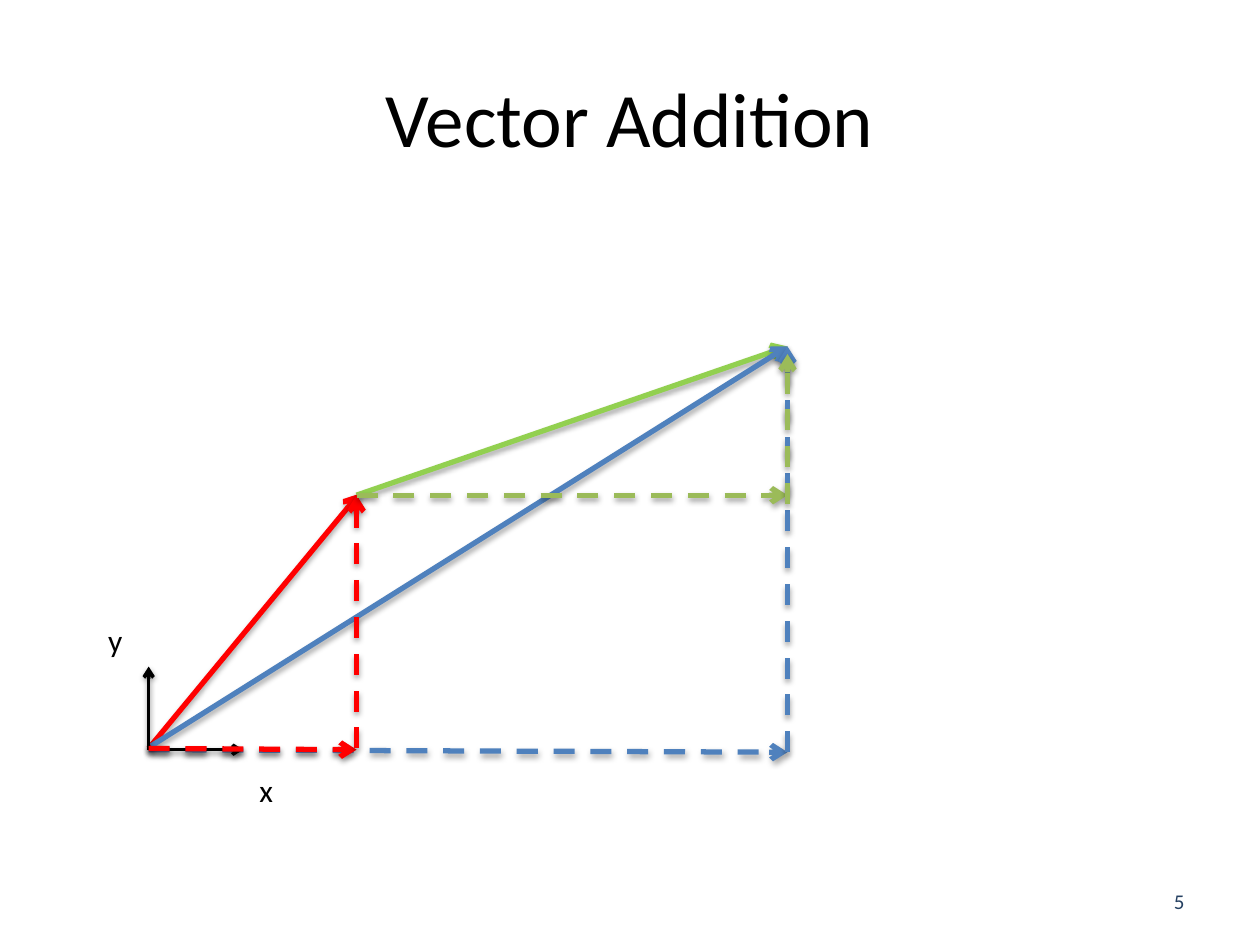
"""Build the Vector Addition slide with its vectors and their components."""
from lxml import etree
from pptx import Presentation
from pptx.dml.color import RGBColor
from pptx.enum.dml import MSO_LINE
from pptx.enum.shapes import MSO_CONNECTOR
from pptx.enum.text import MSO_ANCHOR, MSO_AUTO_SIZE, PP_ALIGN
from pptx.oxml import parse_xml
from pptx.oxml.ns import nsdecls, qn
from pptx.util import Inches, Pt

BLACK = RGBColor(0x00, 0x00, 0x00)
RED = RGBColor(0xFF, 0x00, 0x00)
BLUE = RGBColor(0x4F, 0x81, 0xBD)
LIME = RGBColor(0x92, 0xD0, 0x50)
OLIVE = RGBColor(0x9B, 0xBB, 0x59)
NAVY = RGBColor(0x25, 0x40, 0x61)
FONT = "Calibri"

deck = Presentation()
deck.slide_width, deck.slide_height = Inches(10), Inches(7.5)
page = deck.slides.add_slide(deck.slide_layouts[5])


def add_arrow(start, end, color, width=3, dashed=False):
    points = [Inches(value) for value in (*start, *end)]
    arrow = page.shapes.add_connector(MSO_CONNECTOR.STRAIGHT, *points)
    arrow.line.color.rgb = color
    arrow.line.width = Pt(width)
    if dashed:
        arrow.line.dash_style = MSO_LINE.DASH
    properties = arrow._element.spPr
    etree.SubElement(properties.find(qn("a:ln")), qn("a:tailEnd"), type="arrow")
    distance, alpha = (23000, 35000) if width == 3 else (20000, 38000)
    properties.append(parse_xml(
        f'<a:effectLst {nsdecls("a")}><a:outerShdw blurRad="40000" dist="{distance}" '
        f'dir="5400000" rotWithShape="0"><a:srgbClr val="000000">'
        f'<a:alpha val="{alpha}"/></a:srgbClr></a:outerShdw></a:effectLst>'))


def write(frame, text, size, color, align):
    para = frame.paragraphs[0]
    para.alignment = align
    span = para.add_run()
    span.text = text
    span.font.name, span.font.size = FONT, Pt(size)
    span.font.color.rgb = color


add_arrow((1.18, 5.95), (6.25, 5.97), BLUE, dashed=True)

title = page.shapes.title
title.left, title.top = Inches(0.5), Inches(0.3)
title.width, title.height = Inches(9), Inches(1.25)
title.text_frame.vertical_anchor = MSO_ANCHOR.MIDDLE
write(title.text_frame, "Vector Addition", 44, BLACK, PP_ALIGN.CENTER)

number = page.shapes.add_textbox(Inches(7.17), Inches(6.95), Inches(2.33), Inches(0.4))
number.text_frame.word_wrap = True
number.text_frame.vertical_anchor = MSO_ANCHOR.MIDDLE
write(number.text_frame, "5", 12, NAVY, PP_ALIGN.RIGHT)

add_arrow((1.18, 5.94), (2.85, 3.92), RED)
add_arrow((2.83, 3.93), (6.25, 2.75), LIME)
add_arrow((1.2, 5.92), (6.25, 2.75), BLUE)

for axis_end in ((1.93, 5.95), (1.18, 5.29)):
    add_arrow((1.18, 5.95), axis_end, BLACK, width=2)

for name, left, top, width in (("x", 1.96, 6.07, 0.31), ("y", 0.76, 4.88, 0.32)):
    label = page.shapes.add_textbox(Inches(left), Inches(top), Inches(width), Inches(0.4))
    label.text_frame.word_wrap = False
    label.text_frame.auto_size = MSO_AUTO_SIZE.SHAPE_TO_FIT_TEXT
    write(label.text_frame, name, 18, BLACK, PP_ALIGN.LEFT)

for start, end, color in (
    ((1.18, 5.94), (2.83, 5.95), RED),
    ((2.83, 5.94), (2.83, 3.93), RED),
    ((6.25, 5.97), (6.25, 2.75), BLUE),
    ((2.83, 3.93), (6.25, 3.93), OLIVE),
    ((6.25, 4), (6.25, 2.81), OLIVE),
):
    add_arrow(start, end, color, dashed=True)

deck.save("out.pptx")
